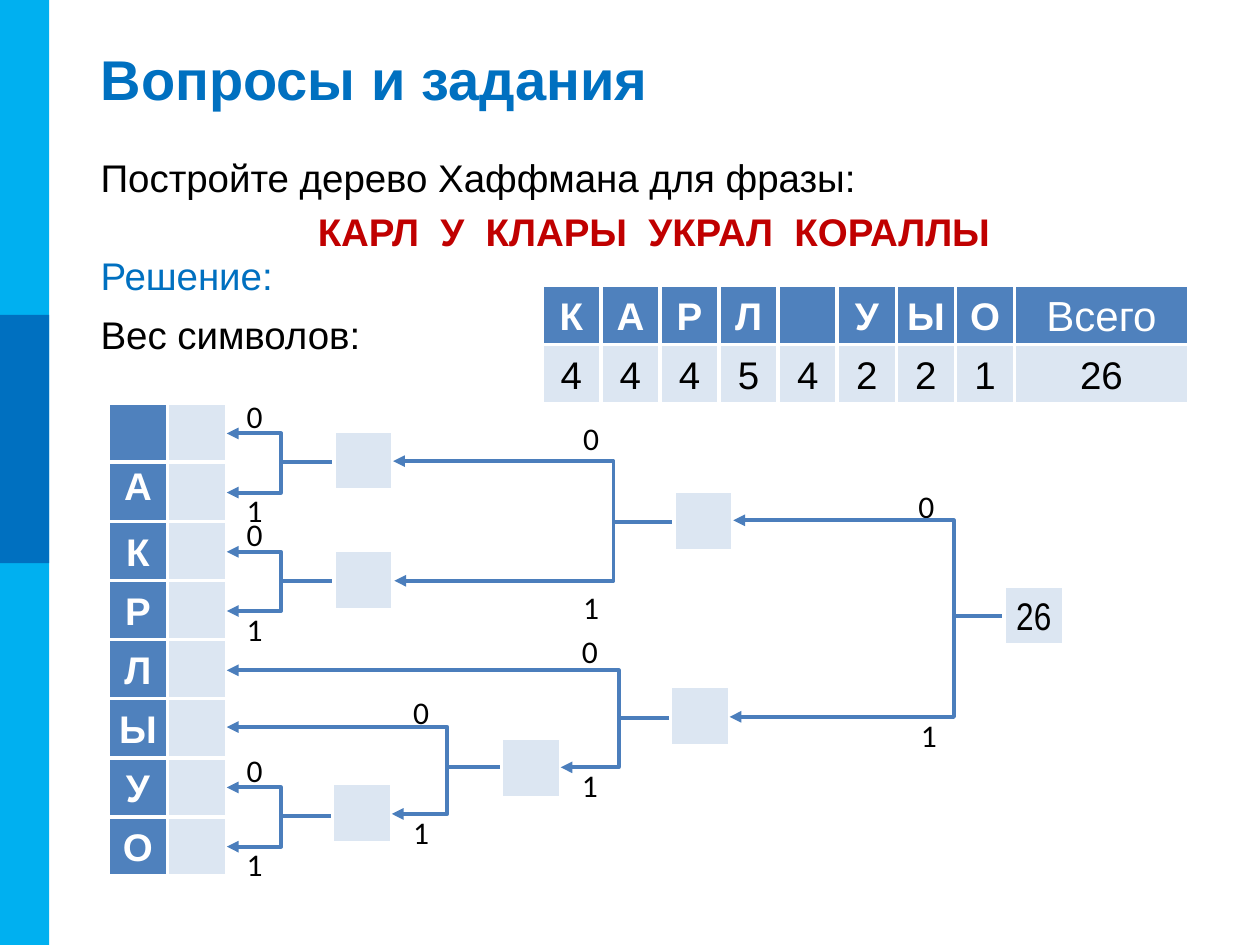
"""Builds a slide with a Huffman tree exercise and its character weights."""
from dataclasses import dataclass

from lxml.etree import SubElement
from pptx import Presentation
from pptx.dml.color import RGBColor
from pptx.enum.shapes import MSO_CONNECTOR, MSO_SHAPE
from pptx.enum.text import MSO_ANCHOR, PP_ALIGN
from pptx.oxml.ns import qn
from pptx.util import Inches, Pt

Point = tuple[float, float]

COLORS = {
    "sky": "00B0F0", "blue": "0070C0", "head": "4F81BD", "cell": "DCE6F2",
    "line": "4B7EBC", "red": "C00000", "white": "FFFFFF", "black": "000000",
}
CELL = 0.469
LEAF_X, LEAF_Y = 0.86, 3.2
WEIGHT_X, WEIGHT_Y = 4.3, 2.265


@dataclass
class Line:
    text: str
    size: float = 22
    color: str = "black"
    bold: bool = False
    align: PP_ALIGN = PP_ALIGN.LEFT
    font: str = "Arial"
    before: float = 0


@dataclass
class Fork:
    join: Point
    box: Point
    bend: float
    zero: Point
    one: Point
    zero_label: Point
    one_label: Point
    text: str = ""


WEIGHTS = [("К", 4), ("А", 4), ("Р", 4), ("Л", 5), ("", 4), ("У", 2), ("Ы", 2), ("О", 1)]
LEAVES = ["", "А", "К", "Р", "Л", "Ы", "У", "О"]


def leaf_fork(top: float, box: Point) -> Fork:
    """Return a fork that joins two neighbouring leaves."""
    return Fork((2.65, top + 0.23), box, 2.23, (1.8, top), (1.8, top + 0.47),
                (1.86, top - 0.34), (1.86, top + 0.41))


FORKS = [
    leaf_fork(6.25, (2.64, 6.22)),
    Fork((3.98, 6.09), (3.98, 5.86), 3.55, (1.8, 5.77), (3.11, 6.46), (3.18, 5.45), (3.18, 6.4)),
    leaf_fork(3.44, (2.65, 3.42)),
    leaf_fork(4.38, (2.65, 4.37)),
    Fork((5.31, 5.7), (5.32, 5.45), 4.91, (1.8, 5.32), (4.45, 6.09), (4.52, 4.97), (4.52, 6.03)),
    Fork((5.34, 4.14), (5.35, 3.9), 4.87, (3.12, 3.66), (3.13, 4.61), (4.53, 3.28), (4.53, 4.62)),
    Fork((7.97, 4.89), (7.97, 4.65), 7.57, (5.82, 4.13), (5.79, 5.69), (7.19, 3.82), (7.21, 5.63),
         "26"),
]


def rgb(name: str) -> RGBColor:
    """Return a palette colour."""
    return RGBColor.from_string(COLORS[name])


def write(tf, lines: list[Line]) -> None:
    """Fill a text frame with one paragraph per line."""
    for i, line in enumerate(lines):
        p = tf.add_paragraph() if i else tf.paragraphs[0]
        p.text = line.text
        p.alignment = line.align
        p.space_before = Pt(line.before)
        p.font.name = line.font
        p.font.size = Pt(line.size)
        p.font.bold = line.bold
        p.font.color.rgb = rgb(line.color)


def add_text(s, x: float, y: float, w: float, h: float, lines: list[Line],
             anchor: MSO_ANCHOR = MSO_ANCHOR.TOP) -> None:
    """Add a wrapped text box."""
    tf = s.shapes.add_textbox(Inches(x), Inches(y), Inches(w), Inches(h)).text_frame
    tf.word_wrap = True
    tf.vertical_anchor = anchor
    write(tf, lines)


def add_rect(s, x: float, y: float, w: float, h: float, fill: str):
    """Add a plain rectangle without an outline."""
    sp = s.shapes.add_shape(MSO_SHAPE.RECTANGLE, Inches(x), Inches(y), Inches(w), Inches(h))
    sp.shadow.inherit = False
    sp.fill.solid()
    sp.fill.fore_color.rgb = rgb(fill)
    sp.line.fill.background()
    return sp


def add_cell(s, x: float, y: float, fill: str, line: Line | None = None, w: float = CELL,
             anchor: MSO_ANCHOR = MSO_ANCHOR.MIDDLE) -> None:
    """Add a white-bordered cell with optional centred text."""
    sp = add_rect(s, x, y, w, CELL, fill)
    sp.line.color.rgb = rgb("white")
    sp.line.width = Pt(2)
    if line and line.text:
        tf = sp.text_frame
        tf.margin_left = tf.margin_right = tf.margin_top = tf.margin_bottom = 0
        tf.vertical_anchor = anchor
        line.align = PP_ALIGN.CENTER
        write(tf, [line])


def add_branch(s, start: Point, end: Point, bend: float) -> None:
    """Add an elbow line with an arrowhead at its start."""
    c = s.shapes.add_connector(MSO_CONNECTOR.ELBOW, *map(Inches, start + end))
    c.line.color.rgb = rgb("line")
    c.line.width = Pt(2.25)
    props = c._element.spPr
    guides = props.find(qn("a:prstGeom")).get_or_add_avLst()
    ratio = (bend - start[0]) / (end[0] - start[0])
    SubElement(guides, qn("a:gd"), name="adj1", fmla=f"val {round(ratio * 100000)}")
    SubElement(props.find(qn("a:ln")), qn("a:headEnd"), type="triangle")
    SubElement(props, qn("a:effectLst"))


def add_fork(s, fork: Fork) -> None:
    """Add a tree node with its two labelled branches."""
    branches = [("0", fork.zero, fork.zero_label), ("1", fork.one, fork.one_label)]
    for bit, start, label in branches:
        add_text(s, *label, 0.31, 0.4, [Line(bit, 18, font="Calibri")])
        add_branch(s, start, fork.join, fork.bend)
    add_cell(s, *fork.box, "cell", Line(fork.text, font="Arial Narrow"))


def add_weights(s) -> None:
    """Add the row of characters above their weights."""
    for i, (char, weight) in enumerate(WEIGHTS):
        x = WEIGHT_X + i * CELL
        add_cell(s, x, WEIGHT_Y, "head", Line(char, color="white", bold=True))
        add_cell(s, x, WEIGHT_Y + CELL, "cell", Line(str(weight)))
    x = WEIGHT_X + len(WEIGHTS) * CELL
    add_cell(s, x, WEIGHT_Y, "head", Line("Всего", 24, "white"), 1.38)
    add_cell(s, x, WEIGHT_Y + CELL, "cell", Line(str(sum(w for _, w in WEIGHTS))), 1.38)


def add_leaves(s) -> None:
    """Add the column of leaf characters with empty code cells."""
    for i, char in enumerate(LEAVES):
        y = LEAF_Y + i * CELL
        anchor = MSO_ANCHOR.TOP if char == "А" else MSO_ANCHOR.MIDDLE
        add_cell(s, LEAF_X, y, "head", Line(char, color="white", bold=True), anchor=anchor)
        add_cell(s, LEAF_X + CELL, y, "cell")


def main() -> None:
    """Build and save the slide."""
    prs = Presentation()
    prs.slide_width, prs.slide_height = Inches(10), Inches(7.5)
    s = prs.slides.add_slide(prs.slide_layouts[6])
    add_rect(s, 0, 0, 0.39, 7.5, "sky")
    add_rect(s, 0, 2.5, 0.39, 1.97, "blue")
    add_text(s, 0.7, 0.3, 9.02, 0.64, [Line("Вопросы и задания", 32, "blue", True)],
             MSO_ANCHOR.MIDDLE)
    justify = PP_ALIGN.JUSTIFY
    add_text(s, 0.7, 1.17, 8.98, 1.17, [
        Line("Постройте дерево Хаффмана для фразы:", align=justify, before=5),
        Line("КАРЛ  У  КЛАРЫ  УКРАЛ  КОРАЛЛЫ", color="red", bold=True,
             align=PP_ALIGN.CENTER, before=5),
    ])
    add_text(s, 0.7, 1.95, 8.98, 0.55, [Line("Решение:", color="blue", align=justify, before=5)])
    add_text(s, 0.7, 2.42, 8.98, 0.55, [Line("Вес символов:", align=justify, before=5)])
    add_weights(s)
    add_leaves(s)
    for fork in FORKS:
        add_fork(s, fork)
    prs.save("out.pptx")


if __name__ == "__main__":
    main()
